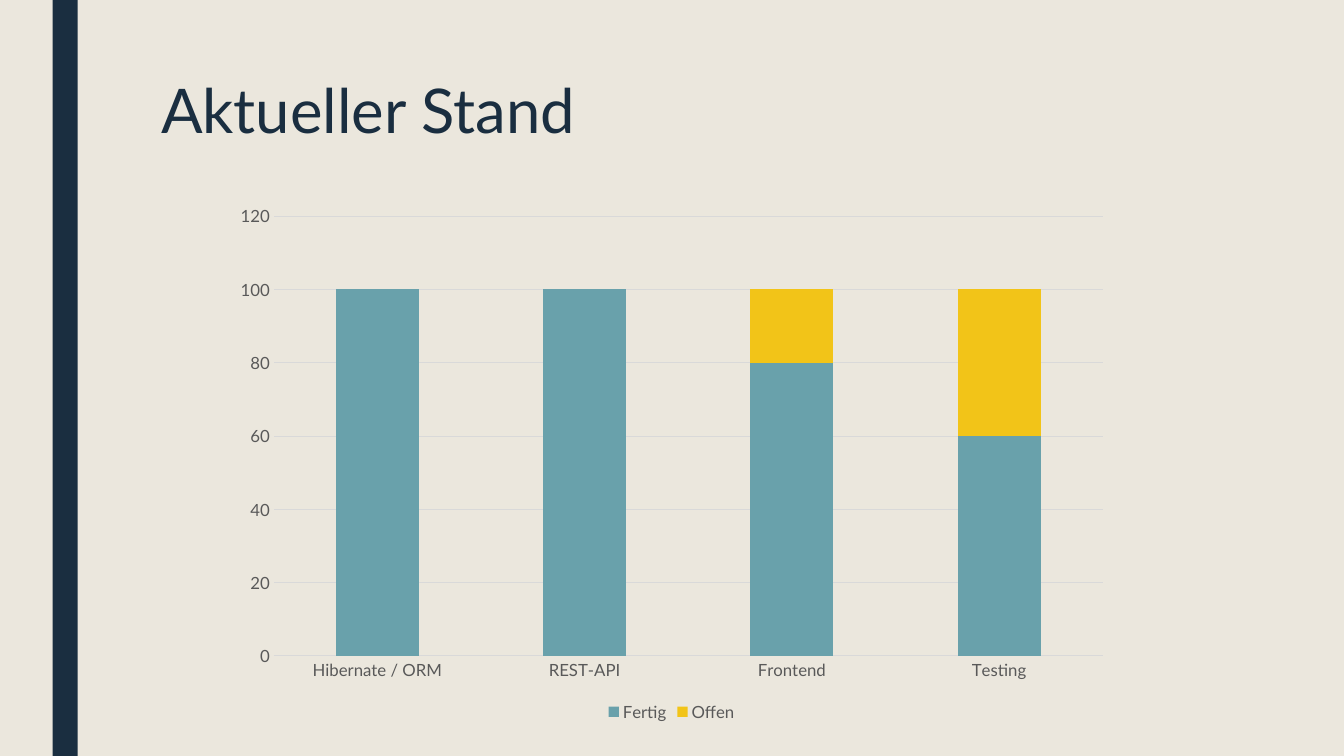
from dataclasses import dataclass

from pptx import Presentation
from pptx.chart.axis import _BaseAxis as Axis
from pptx.chart.data import CategoryChartData
from pptx.dml.color import RGBColor
from pptx.dml.line import LineFormat
from pptx.enum.chart import XL_CHART_TYPE as ChartType
from pptx.enum.chart import XL_LEGEND_POSITION as LegendPosition
from pptx.enum.chart import XL_TICK_MARK as TickMark
from pptx.enum.shapes import MSO_SHAPE as Preset
from pptx.enum.text import MSO_ANCHOR as Anchor
from pptx.slide import Slide
from pptx.text.text import Font
from pptx.util import Pt

SAND = RGBColor(0xEB, 0xE7, 0xDD)
NAVY = RGBColor(0x1A, 0x2E, 0x40)
TEAL = RGBColor(0x69, 0xA1, 0xAB)
YELLOW = RGBColor(0xF2, 0xC4, 0x18)
LABEL_GREY = RGBColor(0x59, 0x59, 0x59)
GRID_GREY = RGBColor(0xD9, 0xD9, 0xD9)
TYPEFACE = "Lato"


@dataclass(frozen=True)
class Status:
    name: str
    percentages: tuple[int, ...]
    color: RGBColor


TASKS = ("Hibernate / ORM", "REST-API", "Frontend", "Testing")
STATUSES = (
    Status("Fertig", (100, 100, 80, 60), TEAL),
    Status("Offen", (0, 0, 20, 40), YELLOW),
)


def style_font(font: Font, size: float, color: RGBColor) -> None:
    font.name = TYPEFACE
    font.size = Pt(size)
    font.color.rgb = color


def style_grid_line(line: LineFormat) -> None:
    line.color.rgb = GRID_GREY
    line.width = Pt(0.75)


def style_axis(axis: Axis) -> None:
    axis.major_tick_mark = TickMark.NONE
    axis.minor_tick_mark = TickMark.NONE
    style_font(axis.tick_labels.font, 12, LABEL_GREY)


def add_side_bar(page: Slide) -> None:
    bar = page.shapes.add_shape(Preset.RECTANGLE, Pt(37.5), Pt(0), Pt(18), Pt(540))
    bar.shadow.inherit = False
    bar.fill.solid()
    bar.fill.fore_color.rgb = NAVY
    bar.line.fill.background()


def add_title(page: Slide, title: str) -> None:
    box = page.shapes.add_textbox(Pt(108), Pt(54), Pt(756), Pt(116.6))
    box.text_frame.word_wrap = True
    box.text_frame.vertical_anchor = Anchor.TOP
    para = box.text_frame.paragraphs[0]
    para.line_spacing = 0.89
    span = para.add_run()
    span.text = title
    style_font(span.font, 44, NAVY)


def add_progress_chart(page: Slide) -> None:
    data = CategoryChartData()
    data.categories = TASKS
    for status in STATUSES:
        data.add_series(status.name, status.percentages)
    chart = page.shapes.add_chart(
        ChartType.COLUMN_STACKED, Pt(159), Pt(139.7), Pt(641.5), Pt(378.7), data
    ).chart
    chart.has_title = False
    style_font(chart.font, 12, LABEL_GREY)

    plot = chart.plots[0]
    plot.gap_width = 150
    plot.overlap = 100
    plot.vary_by_categories = False
    for series, status in zip(plot.series, STATUSES):
        series.format.fill.solid()
        series.format.fill.fore_color.rgb = status.color

    style_axis(chart.category_axis)
    style_grid_line(chart.category_axis.format.line)

    values = chart.value_axis
    style_axis(values)
    values.minimum_scale, values.maximum_scale, values.major_unit = 0, 120, 20
    values.format.line.fill.background()
    values.has_major_gridlines = True
    style_grid_line(values.major_gridlines.format.line)

    chart.has_legend = True
    chart.legend.position = LegendPosition.BOTTOM
    chart.legend.include_in_layout = False
    style_font(chart.legend.font, 12, LABEL_GREY)


def main() -> None:
    deck = Presentation()
    deck.slide_width, deck.slide_height = Pt(960), Pt(540)
    page = deck.slides.add_slide(deck.slide_layouts[6])
    page.background.fill.solid()
    page.background.fill.fore_color.rgb = SAND
    add_side_bar(page)
    add_title(page, "Aktueller Stand")
    add_progress_chart(page)
    deck.save("out.pptx")


if __name__ == "__main__":
    main()
